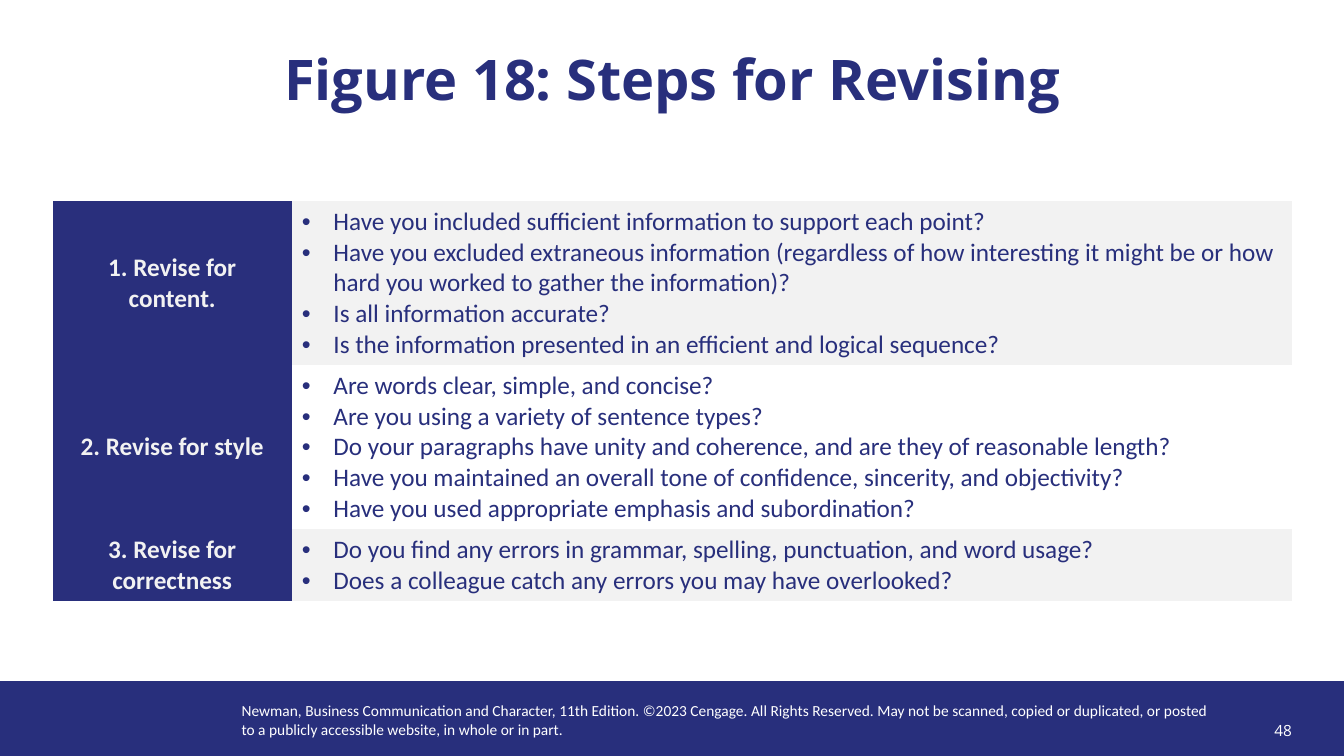
from dataclasses import dataclass

from lxml import etree
from pptx import Presentation
from pptx.dml.color import RGBColor
from pptx.enum.shapes import MSO_SHAPE
from pptx.enum.text import MSO_ANCHOR, PP_ALIGN
from pptx.oxml.ns import qn
from pptx.util import Pt

RECTANGLE = MSO_SHAPE.RECTANGLE
TOP, MIDDLE = MSO_ANCHOR.TOP, MSO_ANCHOR.MIDDLE
LEFT, CENTER, RIGHT = PP_ALIGN.LEFT, PP_ALIGN.CENTER, PP_ALIGN.RIGHT
TITLE_ONLY = 5
NO_TABLE_STYLE = "{2D5ABB26-0587-4C30-8999-92F81FD0307C}"


@dataclass(frozen=True)
class Theme:
    navy: str = "282F7C"
    step_fill: str = "292F7C"
    pale: str = "F2F2F2"
    white: str = "FFFFFF"
    heading_font: str = "Open Sans"
    body_font: str = "Calibri"
    title_size: float = 40
    table_size: float = 18
    footer_size: float = 11
    bullet_indent: float = 22.5
    line_height: float = 22
    cell_padding: float = 7.2


STEPS = [
    ("1. Revise for content.", 5, [
        "Have you included sufficient information to support each point?",
        "Have you excluded extraneous information (regardless of how interesting "
        "it might be or how hard you worked to gather the information)?",
        "Is all information accurate?",
        "Is the information presented in an efficient and logical sequence?",
    ]),
    ("2. Revise for style", 5, [
        "Are words clear, simple, and concise?",
        "Are you using a variety of sentence types?",
        "Do your paragraphs have unity and coherence, and are they of reasonable length?",
        "Have you maintained an overall tone of confidence, sincerity, and objectivity?",
        "Have you used appropriate emphasis and subordination?",
    ]),
    ("3. Revise for correctness", 2, [
        "Do you find any errors in grammar, spelling, punctuation, and word usage?",
        "Does a colleague catch any errors you may have overlooked?",
    ]),
]
COPYRIGHT = (
    "Newman, Business Communication and Character, 11th Edition. ©2023 Cengage. "
    "All Rights Reserved. May not be scanned, copied or duplicated, or posted "
    "to a publicly accessible website, in whole or in part."
)


class SlideBuilder:
    """Draws themed elements on one slide; all lengths are in points."""

    def __init__(self, slide, theme):
        self.slide = slide
        self.theme = theme

    def format(self, para, size, color, font, bold=False, align=LEFT):
        para.alignment = align
        para.font.size = Pt(size)
        para.font.name = font
        para.font.bold = bold
        para.font.color.rgb = RGBColor.from_string(color)

    def title(self, text, left, top, width, height):
        title = self.slide.shapes.title
        title.left, title.top = Pt(left), Pt(top)
        title.width, title.height = Pt(width), Pt(height)
        frame = title.text_frame
        frame.text = text
        frame.vertical_anchor = TOP
        frame.margin_top = 0
        para = frame.paragraphs[0]
        para.line_spacing = 0.9
        self.format(para, self.theme.title_size, self.theme.navy,
                    self.theme.heading_font, True, CENTER)

    def band(self, left, top, width, height):
        band = self.slide.shapes.add_shape(
            RECTANGLE, Pt(left), Pt(top), Pt(width), Pt(height))
        band.shadow.inherit = False
        band.fill.solid()
        band.fill.fore_color.rgb = RGBColor.from_string(self.theme.navy)
        band.line.fill.background()

    def footer(self, text, left, top, width, height, font, align=LEFT, anchor=TOP):
        box = self.slide.shapes.add_textbox(Pt(left), Pt(top), Pt(width), Pt(height))
        frame = box.text_frame
        frame.word_wrap = True
        frame.vertical_anchor = anchor
        frame.text = text
        self.format(frame.paragraphs[0], self.theme.footer_size,
                    self.theme.white, font, align=align)

    def bullet(self, para):
        properties = para._p.get_or_add_pPr()
        indent = Pt(self.theme.bullet_indent)
        properties.set("marL", str(indent))
        properties.set("indent", str(-indent))
        etree.SubElement(properties, qn("a:buFont"), typeface="Arial")
        etree.SubElement(properties, qn("a:buChar"), char="•")

    def fill_cell(self, cell, color):
        cell.fill.solid()
        cell.fill.fore_color.rgb = RGBColor.from_string(color)

    def steps_table(self, steps, left, top, widths):
        theme = self.theme
        heights = [lines * theme.line_height + theme.cell_padding for _, lines, _ in steps]
        graphic = self.slide.shapes.add_table(
            len(steps), len(widths), Pt(left), Pt(top), Pt(sum(widths)), Pt(sum(heights)))
        graphic.element.find(".//" + qn("a:tableStyleId")).text = NO_TABLE_STYLE
        table = graphic.table
        table.first_row = table.horz_banding = False
        for column, width in zip(table.columns, widths):
            column.width = Pt(width)
        for index, (step, _, questions) in enumerate(steps):
            table.rows[index].height = Pt(heights[index])
            step_cell, question_cell = table.cell(index, 0), table.cell(index, 1)
            step_cell.text = step
            step_cell.vertical_anchor = MIDDLE
            self.fill_cell(step_cell, theme.step_fill)
            self.format(step_cell.text_frame.paragraphs[0], theme.table_size,
                        theme.pale, theme.body_font, True, CENTER)
            question_cell.text = "\n".join(questions)
            if index % 2:
                question_cell.fill.background()
            else:
                self.fill_cell(question_cell, theme.pale)
            for para in question_cell.text_frame.paragraphs:
                self.bullet(para)
                self.format(para, theme.table_size, theme.navy, theme.body_font)


def main():
    deck = Presentation()
    deck.slide_width, deck.slide_height = Pt(960), Pt(540)
    theme = Theme()
    page = SlideBuilder(deck.slides.add_slide(deck.slide_layouts[TITLE_ONLY]), theme)
    page.band(0, 486.5, 960, 53.5)
    page.footer(COPYRIGHT, 165.5, 497.5, 705.5, 34, theme.body_font)
    page.footer("48", 872.5, 507.5, 57.5, 29, theme.heading_font, RIGHT, MIDDLE)
    page.title("Figure 18: Steps for Revising", 37.5, 37.5, 885, 96)
    page.steps_table(STEPS, 37.5, 143.75, [171, 714.5])
    deck.save("out.pptx")


if __name__ == "__main__":
    main()
